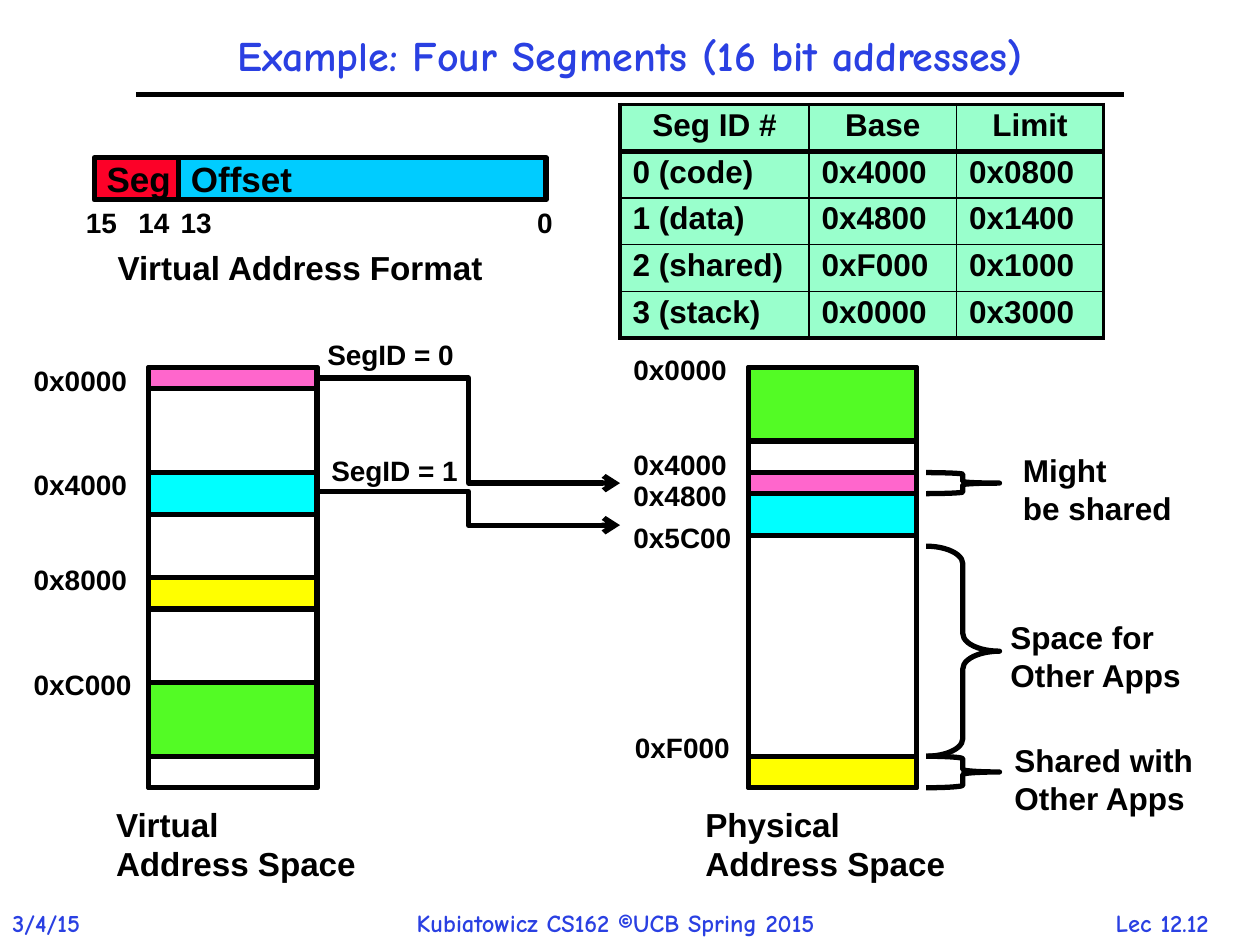
from lxml import etree
from pptx import Presentation
from pptx.dml.color import RGBColor
from pptx.enum.shapes import MSO_CONNECTOR, MSO_SHAPE
from pptx.enum.text import MSO_ANCHOR, PP_ALIGN
from pptx.oxml.ns import qn
from pptx.util import Cm, Pt

RECT, BRACE = MSO_SHAPE.RECTANGLE, MSO_SHAPE.RIGHT_BRACE
STRAIGHT, ELBOW = MSO_CONNECTOR.STRAIGHT, MSO_CONNECTOR.ELBOW
LEFT, CENTER = PP_ALIGN.LEFT, PP_ALIGN.CENTER
MIDDLE = MSO_ANCHOR.MIDDLE

BLACK, BLUE = "000000", "2A40E2"
PINK, CYAN, YELLOW, GREEN = "FF66CC", "00FFFF", "FFFF00", "53FB25"
MINT, RED, SKY = "99FFCC", "FC0128", "00CCFF"
SANS, COMIC = "Arial", "Comic Neue"

# Both address spaces share one vertical scale of 40 units
MEM_TOP, MEM_W, MEM_H = 7.41, 3.39, 8.47
VIRTUAL_X, PHYSICAL_X = 3.0, 15.09
UNIT = MEM_H / 40


def rgb(color):
    return RGBColor.from_string(color)


def mem_y(units):
    return MEM_TOP + units * UNIT


def write(tf, text, size, font=SANS, color=BLACK, align=LEFT, spacing=None):
    tf.text = text
    for p in tf.paragraphs:
        p.alignment = align
        p.line_spacing = spacing
        p.font.size = Pt(size)
        p.font.name = font
        p.font.bold = True
        p.font.color.rgb = rgb(color)


def add_text(slide, x, y, w, h, text, size, **style):
    tf = slide.shapes.add_textbox(Cm(x), Cm(y), Cm(w), Cm(h)).text_frame
    tf.word_wrap = False
    write(tf, text, size, **style)


def add_box(slide, kind, x, y, w, h, fill=None):
    sp = slide.shapes.add_shape(kind, Cm(x), Cm(y), Cm(w), Cm(h))
    sp.shadow.inherit = False
    if fill:
        sp.fill.solid()
        sp.fill.fore_color.rgb = rgb(fill)
    else:
        sp.fill.background()
    sp.line.color.rgb = rgb(BLACK)
    sp.line.width = Pt(3)
    return sp


def add_line(slide, kind, x1, y1, x2, y2, arrow=False):
    line = slide.shapes.add_connector(kind, Cm(x1), Cm(y1), Cm(x2), Cm(y2))
    line.line.color.rgb = rgb(BLACK)
    line.line.width = Pt(3)
    sp_pr = line._element.spPr
    if arrow:
        etree.SubElement(sp_pr.find(qn("a:ln")), qn("a:tailEnd"), type="arrow")
    etree.SubElement(sp_pr, qn("a:effectLst"))


def set_borders(cell, **widths):
    tc_pr = cell._tc.get_or_add_tcPr()
    for side in "LRTB":
        ln = etree.SubElement(tc_pr, qn("a:ln" + side), w=str(Pt(widths[side])))
        fill = etree.SubElement(ln, qn("a:solidFill"))
        etree.SubElement(fill, qn("a:srgbClr"), val=BLACK)


def add_segment_table(slide, rows):
    widths = (3.81, 2.97, 2.97)
    last_row, last_col = len(rows) - 1, len(widths) - 1
    table = slide.shapes.add_table(len(rows), len(widths), Cm(12.5), Cm(2.11),
                                   Cm(sum(widths)), Cm(0.93 * len(rows))).table
    table.first_row = table.horz_banding = False
    for c, width in enumerate(widths):
        table.columns[c].width = Cm(width)
    for r, row in enumerate(rows):
        table.rows[r].height = Cm(0.93)
        for c, text in enumerate(row):
            cell = table.cell(r, c)
            set_borders(cell,
                        L=2.25 if c == 0 else 1,
                        R=2.25 if c == last_col else 1,
                        T={0: 2.25, 1: 3}.get(r, 1),
                        B={0: 3, last_row: 2.25}.get(r, 1))
            cell.fill.solid()
            cell.fill.fore_color.rgb = rgb(MINT)
            write(cell.text_frame, text, 18, spacing=0.9,
                  align=CENTER if r == 0 else LEFT)


def add_memory(slide, x, segments, labels, caption, caption_x):
    add_box(slide, RECT, x, MEM_TOP, MEM_W, MEM_H)
    for start, length, fill in segments:
        add_box(slide, RECT, x, mem_y(start), MEM_W, length * UNIT, fill)
    for text, label_x, label_y, width in labels:
        add_text(slide, label_x, label_y, width, 0.94, text, 16)
    add_text(slide, caption_x, 16.08, 5.44, 1.88, caption, 19)


def add_address_format(slide):
    fields = (("Offset", 3.6, 7.41, SKY), ("Seg", 1.9, 1.7, RED))
    for text, x, w, fill in fields:
        sp = add_box(slide, RECT, x, 3.18, w, 0.85, fill)
        sp.text_frame.word_wrap = False
        sp.text_frame.vertical_anchor = MIDDLE
        write(sp.text_frame, text, 20)
    bits = (("15", 1.48, 1.14), ("14", 2.54, 1.14), ("13", 3.39, 1.14), ("0", 10.58, 0.81))
    for text, x, w in bits:
        add_text(slide, x, 4.02, w, 0.94, text, 16)
    add_text(slide, 2.12, 4.87, 8.0, 1.06, "Virtual Address Format", 19)


def main():
    prs = Presentation()
    prs.slide_width, prs.slide_height = Cm(25.4), Cm(19.05)
    slide = prs.slides.add_slide(prs.slide_layouts[5])

    # Title, rule and footer
    title = slide.shapes.title
    title.left, title.top, title.width, title.height = Cm(0), Cm(0.43), Cm(25.4), Cm(1.47)
    title.text_frame.vertical_anchor = MIDDLE
    write(title.text_frame, "Example: Four Segments (16 bit addresses)", 24,
          font=COMIC, color=BLUE, align=CENTER, spacing=0.9)
    add_line(slide, STRAIGHT, 2.74, 1.9, 22.66, 1.9)
    footers = (("3/4/15", 0, 2.24, LEFT),
               ("Kubiatowicz CS162 ©UCB Spring 2015", 8.15, 9.83, LEFT),
               ("Lec 12.12", 21.74, 3.38, CENTER))
    for text, x, w, align in footers:
        add_text(slide, x, 18.19, w, 0.85, text, 14, font=COMIC, color=BLUE, align=align)

    # Segment table and address format
    add_segment_table(slide, (
        ("Seg ID #", "Base", "Limit"),
        ("0 (code)", "0x4000", "0x0800"),
        ("1 (data)", "0x4800", "0x1400"),
        ("2 (shared)", "0xF000", "0x1000"),
        ("3 (stack)", "0x0000", "0x3000")))
    add_address_format(slide)

    # Address spaces: segments are (start, length, fill) in units
    add_memory(slide, VIRTUAL_X,
               ((0, 2, PINK), (10, 4, CYAN), (20, 3, YELLOW), (30, 7, GREEN), (30, 10, None)),
               (("0x0000", 0.43, 7.2, 2.42), ("0x4000", 0.43, 9.31, 2.42),
                ("0x8000", 0.43, 11.22, 2.42), ("0xC000", 0.43, 13.34, 2.51)),
               "Virtual\nAddress Space", 2.09)
    add_memory(slide, PHYSICAL_X,
               ((0, 7, GREEN), (10, 2, PINK), (12, 4, CYAN), (37, 3, YELLOW)),
               (("0x0000", 12.52, 6.99, 2.42), ("0x4000", 12.52, 8.89, 2.42),
                ("0x4800", 12.52, 9.53, 2.42), ("0x5C00", 12.52, 10.37, 2.51),
                ("0xF000", 12.55, 14.6, 2.44)),
               "Physical\nAddress Space", 13.97)

    # Braces with their notes
    notes = ((10, 2, 0.08, "Might\nbe shared", 20.37, 8.97, 3.53),
             (17, 20, 0.24, "Space for\nOther Apps", 20.12, 12.33, 3.96),
             (37, 3, 0.08, "Shared with\nOther Apps", 20.2, 14.82, 4.14))
    for start, length, curve, text, x, y, w in notes:
        brace = add_box(slide, BRACE, 18.67, mem_y(start), 1.48, length * UNIT)
        brace.adjustments[0] = curve
        add_text(slide, x, y, w, 1.78, text, 18)

    # Mapping arrows
    arrows = (("SegID = 0", 6.35, 6.68, 1, 11), ("SegID = 1", 6.43, 9.02, 11.8, 15))
    for text, x, y, start, end in arrows:
        add_line(slide, ELBOW, VIRTUAL_X + MEM_W, mem_y(start), 12.5, mem_y(end), arrow=True)
        add_text(slide, x, y, 3.1, 0.94, text, 16)

    prs.save("out.pptx")


main()
